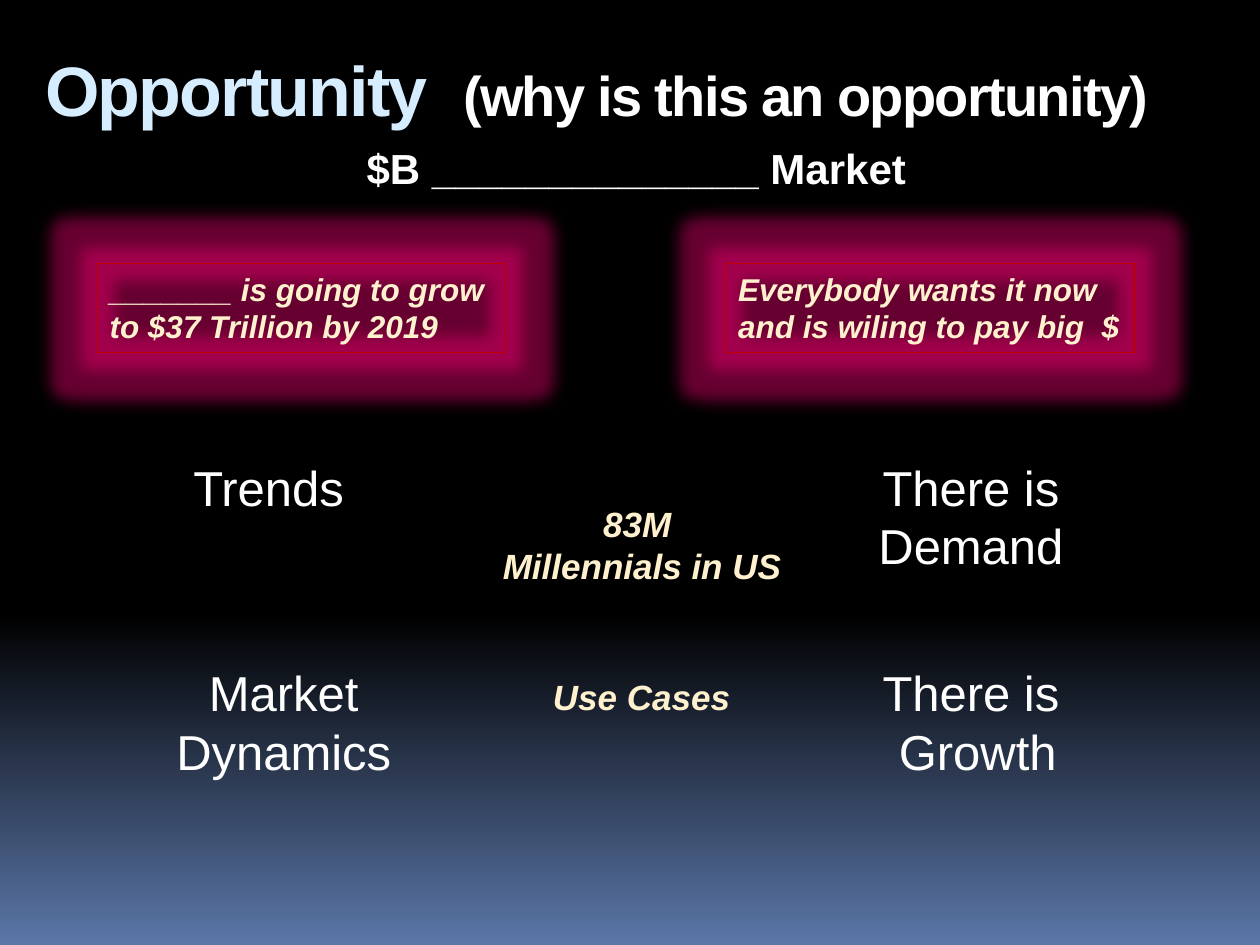
from lxml.etree import SubElement
from pptx import Presentation
from pptx.dml.color import RGBColor
from pptx.enum.shapes import MSO_SHAPE
from pptx.enum.text import MSO_ANCHOR, PP_ALIGN
from pptx.oxml.ns import qn
from pptx.util import Cm, Pt

WHITE, CREAM, ICE = "FFFFFF", "FFF1CE", "D6ECFF"
RED, PINK = "C00000", "FF0078"


def color(code):
    return RGBColor.from_string(code)


def write(shape, *lines, size=28, ink=WHITE, bold=False, italic=False,
          align=PP_ALIGN.LEFT, anchor=MSO_ANCHOR.TOP, wrap=True, spacing=None):
    """Fill a shape with paragraphs; a line may be a list of (text, size, ink)."""
    frame = shape.text_frame
    frame.word_wrap = wrap
    frame.vertical_anchor = anchor
    for index, line in enumerate(lines):
        para = frame.paragraphs[0] if index == 0 else frame.add_paragraph()
        para.alignment = align
        parts = [(line, size, ink)] if isinstance(line, str) else line
        for text, points, tint in parts:
            run = para.add_run()
            run.text = text
            font = run.font
            font.name, font.size = "Arial", Pt(points)
            font.bold, font.italic = bold, italic
            font.color.rgb = color(tint)
            if spacing is not None:
                run._r.get_or_add_rPr().set("spc", str(spacing))


def label(slide, box, *lines, **style):
    shape = slide.shapes.add_textbox(*map(Cm, box))
    write(shape, *lines, **style)


def backdrop(slide):
    fill = slide.background.fill
    fill.gradient()
    fill.gradient_angle = 270
    stops = slide._element.find(".//" + qn("a:gsLst"))
    for stop in list(stops):
        stops.remove(stop)
    for place, code in ((0, "000000"), (65, "000000"), (100, "5B77A8")):
        stop = SubElement(stops, qn("a:gs"), pos=str(place * 1000))
        SubElement(stop, qn("a:srgbClr"), val=code)


def add_glow(shape, code, radius, alpha):
    shape.shadow.inherit = False
    effects = shape._element.spPr.find(qn("a:effectLst"))
    glow = SubElement(effects, qn("a:glow"), rad=str(Pt(radius)))
    tint = SubElement(glow, qn("a:srgbClr"), val=code)
    SubElement(tint, qn("a:alpha"), val=str(alpha * 1000))


def heading(slide, left, top):
    title = [("Opportunity  ", 40, ICE), ("(why is this an opportunity)", 32, WHITE)]
    label(slide, (left, top, 22.83, 2.06), title, bold=True,
          anchor=MSO_ANCHOR.MIDDLE, spacing=-100)
    label(slide, (left + 6.48, top + 1.98, 12.75, 1.27),
          "$B ______________ Market", size=24, bold=True)


def card(slide, box, text):
    shape = slide.shapes.add_shape(MSO_SHAPE.RECTANGLE, *map(Cm, box))
    shape.fill.background()
    shape.line.color.rgb = color(RED)
    shape.line.width = Pt(0.75)
    add_glow(shape, PINK, radius=18, alpha=40)
    write(shape, text, size=18, ink=CREAM, bold=True, italic=True)


def drivers(slide, left, top):
    """Place the four large topics in two columns and two rows."""
    right, low = left + 11.92, top + 4.14
    center = PP_ALIGN.CENTER
    label(slide, (left, top, 4.47, 1.45), "Trends", align=center)
    label(slide, (left, low, 5.08, 2.64), "Market Dynamics", align=center)
    label(slide, (right, top, 9.22, 2.64), "There is ", "Demand ", align=center)
    label(slide, (right, low, 9.22, 2.64), "There is ", "Growth", align=center)


def notes(slide, left, top):
    """Place the two cream remarks between the columns."""
    style = dict(size=20, ink=CREAM, bold=True, italic=True,
                 align=PP_ALIGN.CENTER, wrap=False)
    label(slide, (left, top, 6.17, 1.96), "83M ", "Millennials in US", **style)
    label(slide, (left + 1.02, top + 3.48, 4.11, 1.12), "Use Cases", **style)


def main():
    deck = Presentation()
    deck.slide_width, deck.slide_height = Cm(25.4), Cm(19.05)
    slide = deck.slides.add_slide(deck.slide_layouts[6])
    backdrop(slide)
    heading(slide, 0.66, 0.76)
    claims = ("_______ is going to grow to $37 Trillion by 2019",
              "Everybody wants it now and is wiling to pay big  $")
    for index, claim in enumerate(claims):
        card(slide, (1.96 + index * 12.67, 5.31, 8.23, 1.8), claim)
    drivers(slide, 3.18, 9.09)
    notes(slide, 9.86, 10.01)
    deck.save("out.pptx")


if __name__ == "__main__":
    main()
